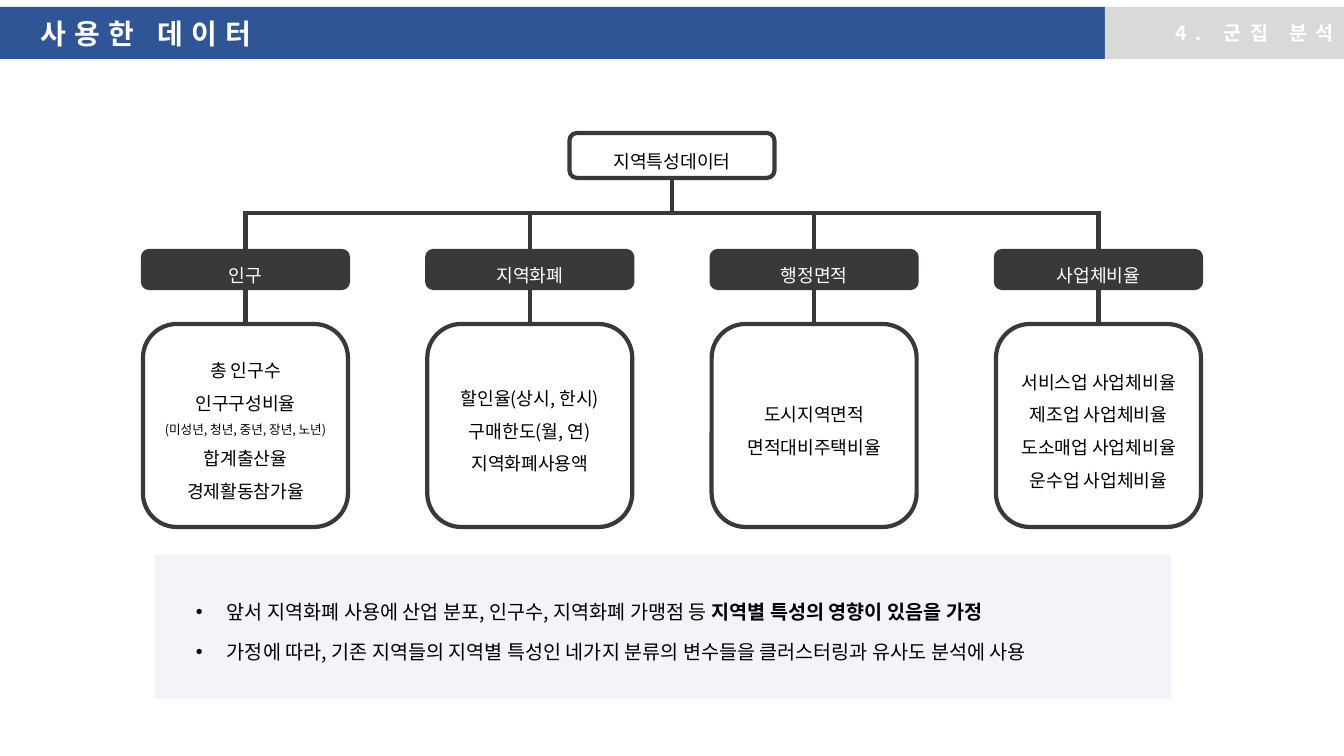
import pptx
import pptx.util
import pptx.dml.color
import pptx.enum.shapes
import pptx.enum.text
import pptx.oxml.ns
from lxml import etree

UNIT = 914400 / 100.8
FACE = "Noto Sans CJK KR"
HUES = {"blue": "2F5597", "gray": "D9D9D9", "dark": "3B3838",
        "pale": "DAE2F3", "white": "FFFFFF", "black": "000000"}
KIND = pptx.enum.shapes.MSO_SHAPE
ALIGN = pptx.enum.text.PP_ALIGN
FRAME = {"word_wrap": True,
         "auto_size": pptx.enum.text.MSO_AUTO_SIZE.NONE,
         "vertical_anchor": pptx.enum.text.MSO_ANCHOR.MIDDLE}
GROUPS = {
    "인구": [("총 인구수", 13), ("인구구성비율", 13),
           ("(미성년, 청년, 중년, 장년, 노년)", 9),
           ("합계출산율", 13), ("경제활동참가율", 13)],
    "지역화폐": [("할인율(상시, 한시)", 13), ("구매한도(월, 연)", 13),
             ("지역화폐사용액", 13)],
    "행정면적": [("도시지역면적", 13), ("면적대비주택비율", 13)],
    "사업체비율": [("서비스업 사업체비율", 13), ("제조업 사업체비율", 13),
              ("도소매업 사업체비율", 13), ("운수업 사업체비율", 13)],
}
NOTES = [
    [("앞서 지역화폐 사용에 산업 분포, 인구수, 지역화폐 가맹점 등 ", False),
     ("지역별 특성의 영향이 있음을 가정", True)],
    [("가정에 따라, 기존 지역들의 지역별 특성인 네가지 분류의 변수들을 "
      "클러스터링과 유사도 분석에 사용", False)],
]


def px(n):
    return pptx.util.Emu(round(n * UNIT))


def hue(name):
    return pptx.dml.color.RGBColor.from_string(HUES[name])


def apply(item, form):
    for key, val in form.items():
        setattr(item, key, val)


def add(node, tag, **vals):
    return etree.SubElement(node, pptx.oxml.ns.qn(tag), vals)


def paint(shape, fill, edge=None):
    shape.fill.solid()
    shape.fill.fore_color.rgb = hue(fill)
    if edge:
        shape.line.color.rgb = hue(edge)
        shape.line.width = pptx.util.Pt(3)
    else:
        shape.line.fill.background()


def block(slide, kind, box, fill, edge=None):
    shape = slide.shapes.add_shape(kind, *map(px, box))
    shape.shadow.inherit = False
    paint(shape, fill, edge)
    apply(shape.text_frame, FRAME)
    return shape


def link(slide, *ends):
    line = slide.shapes.add_connector(
        pptx.enum.shapes.MSO_CONNECTOR.STRAIGHT, *map(px, ends))
    line.line.color.rgb = hue("dark")
    line.line.width = pptx.util.Pt(3)
    add(line._element.spPr, "a:effectLst")


def write(para, text, size, tint, bold=False, gap=0):
    run = para.add_run()
    run.text = text
    apply(run.font, {"size": pptx.util.Pt(size), "bold": bold, "name": FACE})
    run.font.color.rgb = hue(tint)
    props = run._r.get_or_add_rPr()
    add(props, "a:ea", typeface=FACE)
    if gap:
        props.set("spc", str(gap * 100))


def stack(shape, rows, tint):
    frame = shape.text_frame
    for at, (text, size) in enumerate(rows):
        para = frame.add_paragraph() if at else frame.paragraphs[0]
        apply(para, {"alignment": ALIGN.CENTER, "line_spacing": 1.5})
        write(para, text, size, tint)


def header(slide, box):
    left, top, wide, high = box
    split = left + 1105
    title = slide.shapes.title
    apply(title, {"left": px(left), "top": px(top),
                  "width": px(split - left), "height": px(high)})
    paint(title, "blue")
    apply(title.text_frame, {**FRAME, "margin_left": px(40)})
    para = title.text_frame.paragraphs[0]
    para.alignment = ALIGN.LEFT
    write(para, "사용한 데이터", 20, "white", True, 6)
    part = block(slide, KIND.RECTANGLE,
                 (split, top, left + wide - split, high), "gray")
    para = part.text_frame.paragraphs[0]
    para.alignment = ALIGN.RIGHT
    write(para, "4. 군집 분석", 14, "white", True, 6)


def branch(slide, box, name, rows):
    left, top, wide, high = box
    mid = left + wide / 2
    link(slide, mid, top, mid, top + 113)
    tag = block(slide, KIND.ROUNDED_RECTANGLE,
                (left, top + 40, wide, 37), "dark", "dark")
    stack(tag, [(name, 13)], "white")
    body = block(slide, KIND.ROUNDED_RECTANGLE,
                 (left, top + 113, wide, high - 113), "white", "dark")
    stack(body, rows, "black")


def tree(slide, box):
    left, top, wide, high = box
    cell = 205
    step = (wide - cell) / (len(GROUPS) - 1)
    mid = left + wide / 2
    rail = top + 80
    link(slide, mid, top + 45, mid, rail)
    link(slide, left + cell / 2, rail, left + wide - cell / 2, rail)
    root = block(slide, KIND.ROUNDED_RECTANGLE,
                 (mid - cell / 2, top, cell, 45), "white", "dark")
    stack(root, [("지역특성데이터", 13)], "black")
    for at, (name, rows) in enumerate(GROUPS.items()):
        branch(slide, (left + at * step, rail - 2, cell, high - 78),
               name, rows)


def notes(slide, box):
    left, top, wide, high = box
    panel = block(slide, KIND.RECTANGLE, box, "pale")
    tint = panel._element.spPr.find(".//" + pptx.oxml.ns.qn("a:srgbClr"))
    add(tint, "a:alpha", val="35000")
    area = slide.shapes.add_textbox(
        *map(px, (left + 31, top + 28, wide - 44, high - 31)))
    frame = area.text_frame
    frame.word_wrap = True
    for at, parts in enumerate(NOTES):
        para = frame.add_paragraph() if at else frame.paragraphs[0]
        para.line_spacing = 1.5
        if at:
            para.space_before = pptx.util.Pt(3.5)
        props = para._p.get_or_add_pPr()
        for key, val in {"marL": 31, "indent": -31}.items():
            props.set(key, str(px(val)))
        add(props, "a:buFont", typeface="Arial")
        add(props, "a:buChar", char="•")
        for text, bold in parts:
            write(para, text, 14, "black", bold)


def main():
    deck = pptx.Presentation()
    apply(deck, {"slide_width": px(1344), "slide_height": px(756)})
    slide = deck.slides.add_slide(deck.slide_layouts[5])
    header(slide, (0, 7, 1344, 52))
    tree(slide, (143, 133, 1058, 394))
    notes(slide, (155, 555, 1016, 144))
    deck.save("out.pptx")


if __name__ == "__main__":
    main()
